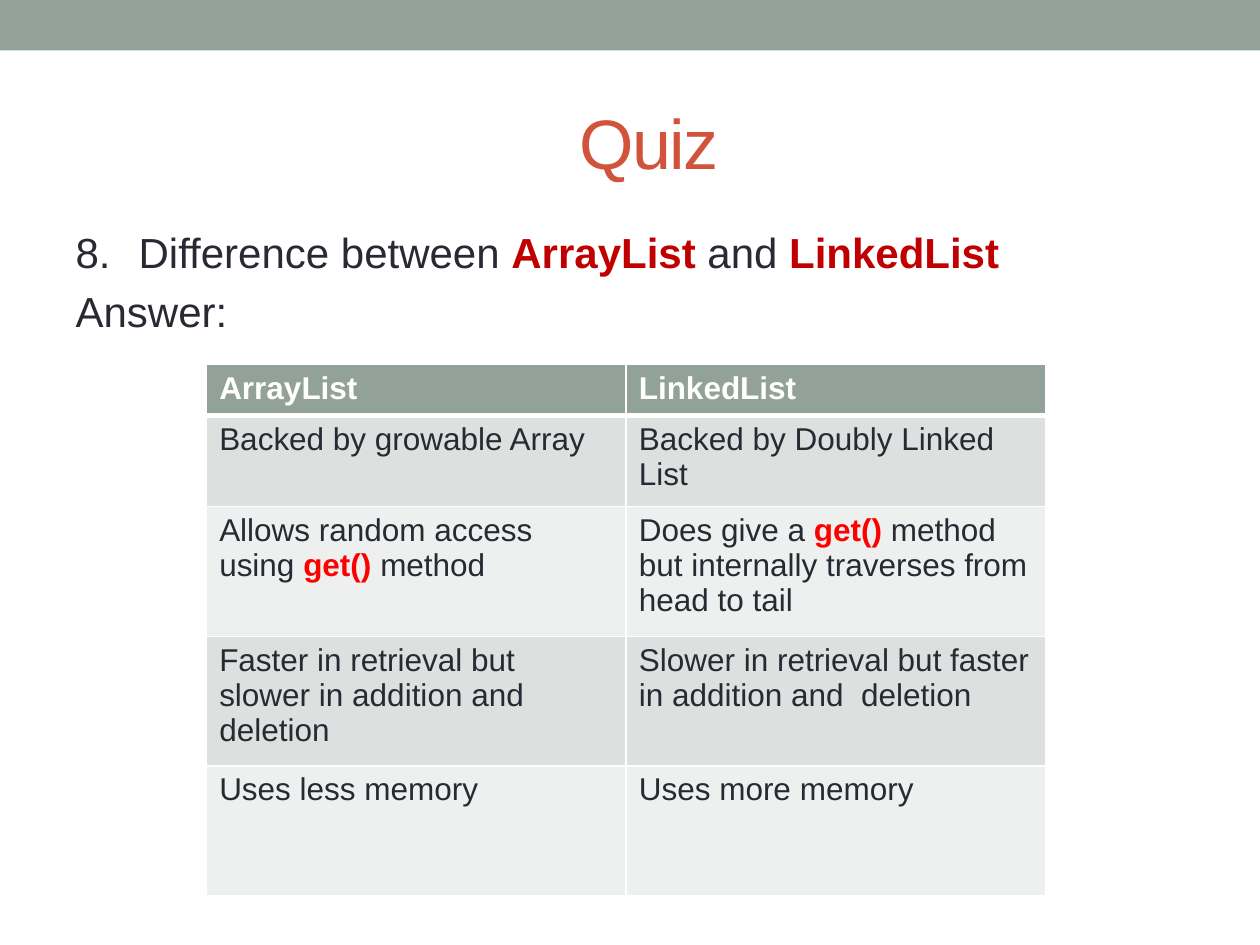
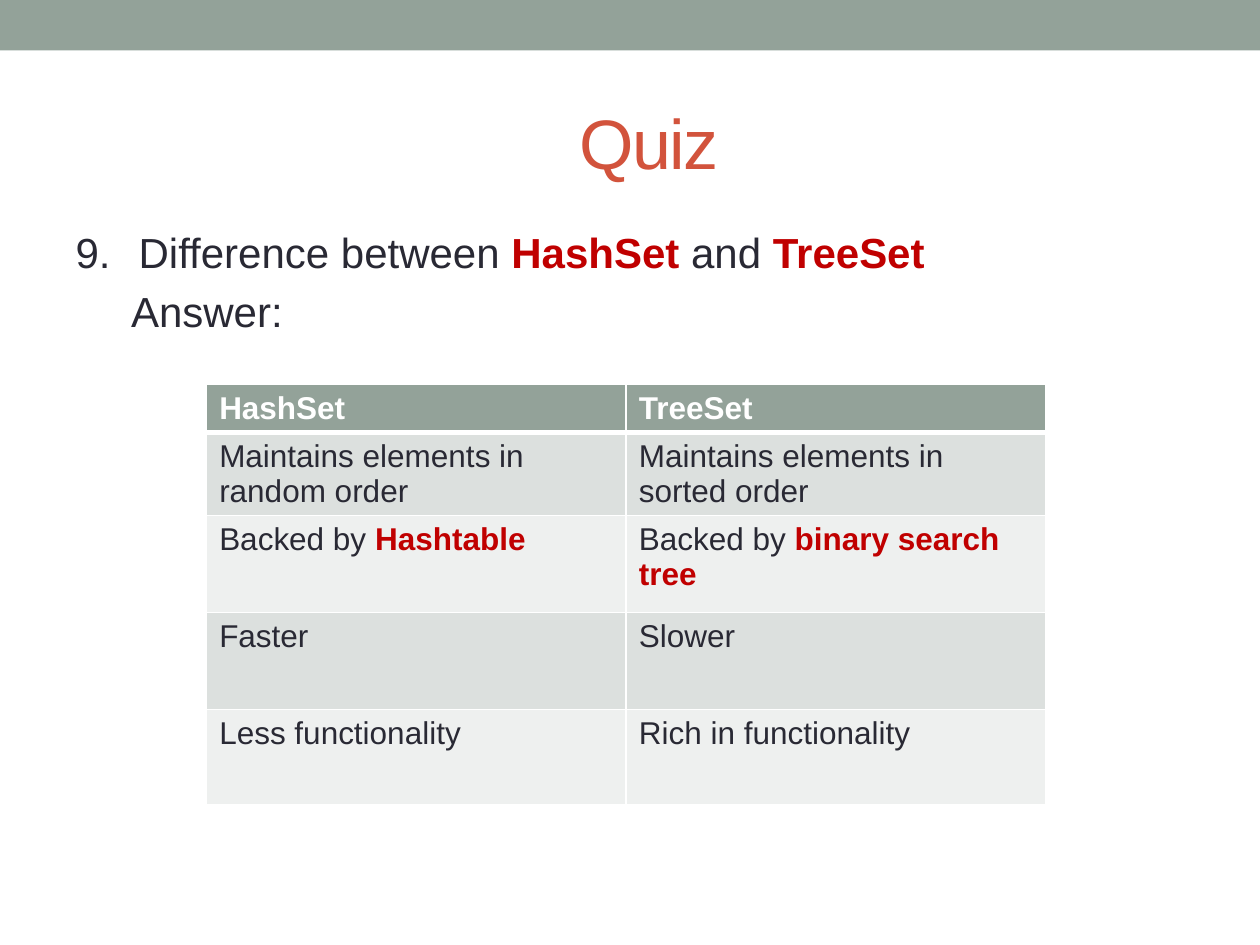
from dataclasses import dataclass

from lxml.etree import SubElement
from pptx import Presentation
from pptx.dml.color import RGBColor
from pptx.enum.shapes import MSO_SHAPE
from pptx.enum.text import MSO_ANCHOR, MSO_AUTO_SIZE, PP_ALIGN
from pptx.oxml.ns import qn
from pptx.shapes.base import BaseShape
from pptx.slide import Slide
from pptx.table import _Cell as Cell
from pptx.text.text import TextFrame, _Paragraph as Paragraph
from pptx.util import Inches, Pt


@dataclass(frozen=True)
class Theme:
    font: str = "Arial"
    band: str = "93A299"
    title: str = "D2533C"
    ink: str = "292934"
    white: str = "FFFFFF"
    keyword: str = "C00000"
    method: str = "FF0000"
    stripes: tuple[str, str] = ("DCE0DE", "EEF0EF")
    title_size: int = 40
    body_size: int = 24
    table_size: int = 18
    rule: float = 1
    header_rule: float = 3


@dataclass(frozen=True)
class Span:
    text: str
    color: str
    bold: bool = False


@dataclass(frozen=True)
class Box:
    left: float
    top: float
    width: float
    height: float


@dataclass(frozen=True)
class Quiz:
    number: int
    subjects: tuple[str, str]
    answer_indent: float
    table_top: float
    row_heights: tuple[float, ...]
    rows: tuple[tuple[list[Span], list[Span]], ...]


THEME = Theme()
BAND_BOX = Box(0, 0, 10, 0.4)
TITLE_BOX = Box(0.5, 0.58, 9, 1.08)
BODY_BOX = Box(0.5, 1.75, 9, 5.33)
TITLE_INDENT = 4
NUMBER_INDENT = 0.5
TABLE_LEFT = 1.64
TABLE_WIDTH = 6.66


def plain(text: str) -> Span:
    return Span(text, THEME.ink)


def keyword(text: str) -> Span:
    return Span(text, THEME.keyword, True)


def method(text: str) -> Span:
    return Span(text, THEME.method, True)


def place(shape: BaseShape, box: Box) -> None:
    shape.left, shape.top = Inches(box.left), Inches(box.top)
    shape.width, shape.height = Inches(box.width), Inches(box.height)


def write(para: Paragraph, spans: list[Span], size: int) -> None:
    for span in spans:
        run = para.add_run()
        run.text = span.text
        run.font.name = THEME.font
        run.font.size = Pt(size)
        run.font.bold = span.bold
        run.font.color.rgb = RGBColor.from_string(span.color)


def indent(para: Paragraph, margin: float, first: float = 0) -> None:
    props = para._p.get_or_add_pPr()
    props.set("marL", str(Inches(margin)))
    props.set("indent", str(Inches(first)))
    SubElement(props, qn("a:buNone"))


def prepare(frame: TextFrame, anchor: MSO_ANCHOR) -> None:
    frame.word_wrap = True
    frame.auto_size = MSO_AUTO_SIZE.NONE
    frame.vertical_anchor = anchor


def add_band(page: Slide) -> None:
    band = page.shapes.add_shape(MSO_SHAPE.RECTANGLE, 0, 0, 0, 0)
    place(band, BAND_BOX)
    band.shadow.inherit = False
    band.fill.solid()
    band.fill.fore_color.rgb = RGBColor.from_string(THEME.band)
    band.line.fill.background()
    page.shapes.element.insert(2, band.element)


def add_title(page: Slide) -> None:
    title = page.shapes.title
    place(title, TITLE_BOX)
    prepare(title.text_frame, MSO_ANCHOR.MIDDLE)
    para = title.text_frame.paragraphs[0]
    para.alignment = PP_ALIGN.LEFT
    indent(para, TITLE_INDENT)
    write(para, [Span("Quiz", THEME.title)], THEME.title_size)
    para.runs[0].font._element.set("spc", "-100")


def add_question(page: Slide, quiz: Quiz) -> None:
    body = page.placeholders[1]
    place(body, BODY_BOX)
    prepare(body.text_frame, MSO_ANCHOR.TOP)
    first, second = quiz.subjects
    question = body.text_frame.paragraphs[0]
    indent(question, NUMBER_INDENT, -NUMBER_INDENT)
    write(question, [plain(f"{quiz.number}.\tDifference between "), keyword(first),
                     plain(" and "), keyword(second)], THEME.body_size)
    answer = body.text_frame.add_paragraph()
    indent(answer, quiz.answer_indent)
    write(answer, [plain("Answer:")], THEME.body_size)


def set_borders(cell: Cell, top: float, bottom: float) -> None:
    props = cell._tc.get_or_add_tcPr()
    sides = {"L": THEME.rule, "R": THEME.rule, "T": top, "B": bottom}
    for side, width in sides.items():
        line = SubElement(props, qn(f"a:ln{side}"), w=str(Pt(width)))
        fill = SubElement(line, qn("a:solidFill"))
        SubElement(fill, qn("a:srgbClr"), val=THEME.white)


def add_comparison(page: Slide, quiz: Quiz) -> None:
    header = tuple([Span(name, THEME.white, True)] for name in quiz.subjects)
    rows = (header, *quiz.rows)
    table = page.shapes.add_table(
        len(rows), len(header), Inches(TABLE_LEFT), Inches(quiz.table_top),
        Inches(TABLE_WIDTH), Inches(sum(quiz.row_heights))).table
    table.horz_banding = False
    for index, (height, row) in enumerate(zip(quiz.row_heights, rows)):
        table.rows[index].height = Inches(height)
        color = THEME.stripes[(index - 1) % 2] if index else THEME.band
        top = THEME.header_rule if index == 1 else THEME.rule
        bottom = THEME.header_rule if index == 0 else THEME.rule
        for column, spans in enumerate(row):
            cell = table.cell(index, column)
            set_borders(cell, top, bottom)
            cell.fill.solid()
            cell.fill.fore_color.rgb = RGBColor.from_string(color)
            write(cell.text_frame.paragraphs[0], spans, THEME.table_size)


QUIZZES = (
    Quiz(8, ("ArrayList", "LinkedList"), 0, 2.89, (0.41, 0.72, 1.03, 1.03, 1.03), (
        ([plain("Backed by growable Array")],
         [plain("Backed by Doubly Linked List")]),
        ([plain("Allows random access using "), method("get() "), plain("method")],
         [plain("Does give a "), method("get() "),
          plain("method but internally traverses from head to tail")]),
        ([plain("Faster in retrieval but slower in addition and deletion")],
         [plain("Slower in retrieval but faster in addition and  deletion")]),
        ([plain("Uses less memory")], [plain("Uses more memory")]),
    )),
    Quiz(9, ("HashSet", "TreeSet"), 0.44, 3.05, (0.36, 0.66, 0.77, 0.77, 0.76), (
        ([plain("Maintains elements in random order")],
         [plain("Maintains elements in sorted order")]),
        ([plain("Backed by "), keyword("Hashtable")],
         [plain("Backed by "), keyword("binary search tree")]),
        ([plain("Faster")], [plain("Slower")]),
        ([plain("Less functionality")], [plain("Rich in functionality")]),
    )),
)


def main() -> None:
    deck = Presentation()
    deck.slide_width, deck.slide_height = Inches(10), Inches(7.5)
    for quiz in QUIZZES:
        page = deck.slides.add_slide(deck.slide_layouts[1])
        add_band(page)
        add_title(page)
        add_question(page, quiz)
        add_comparison(page, quiz)
    deck.save("out.pptx")


main()
